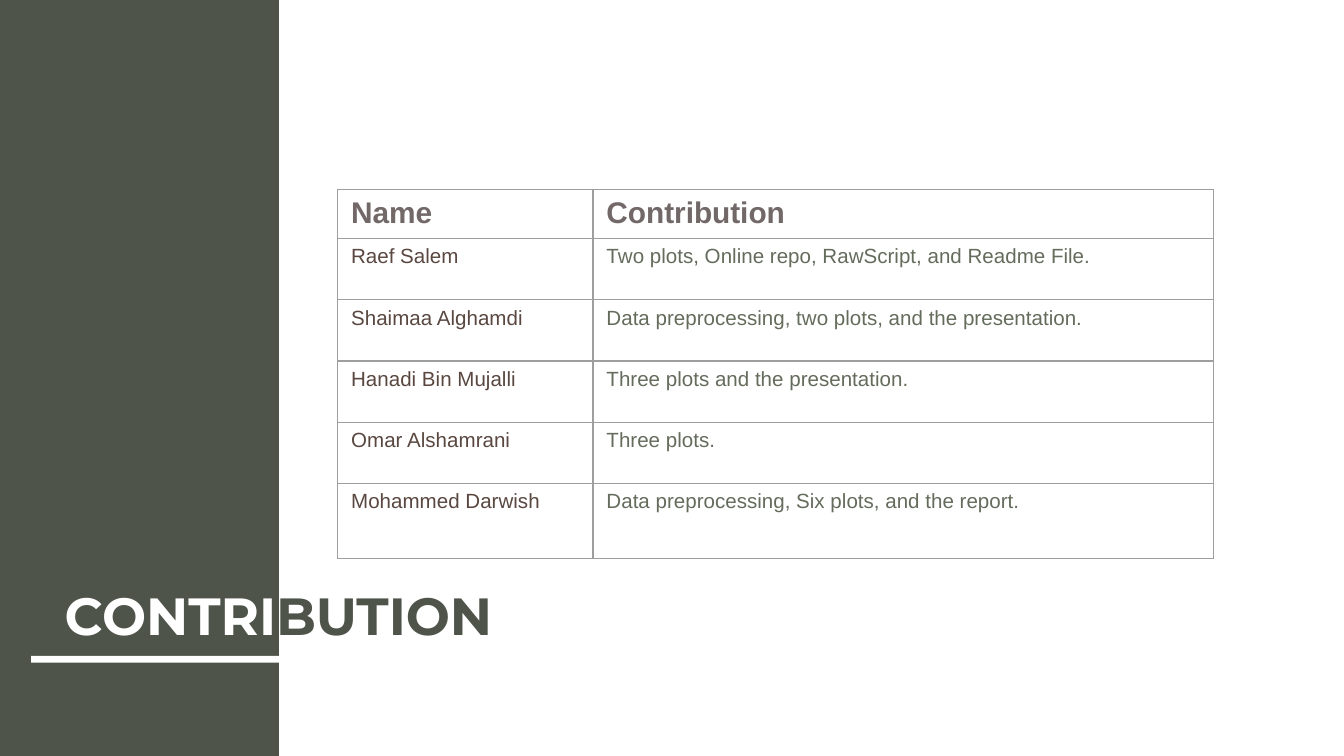
from lxml import etree
from pptx import Presentation
from pptx import util as u
from pptx.dml import color
from pptx.enum import shapes, text
from pptx.oxml import ns

SCALE = 5715


def px(n):
    return u.Emu(n * SCALE)


def rgb(code):
    return color.RGBColor.from_string(code)


class Deck:
    dark, white, grid = "4E5449", "FFFFFF", "9E9E9E"
    big = {"name": "Montserrat", "size": u.Pt(28), "bold": True}
    head = {"name": "Arial", "size": u.Pt(16), "bold": True}
    body = {"name": "Arial", "size": u.Pt(11), "bold": False}

    def __init__(self, wide, high):
        self.prs = Presentation()
        self.prs.slide_width, self.prs.slide_height = px(wide), px(high)
        self.slide = self.prs.slides.add_slide(self.prs.slide_layouts[0])
        sub = self.slide.placeholders[1].element
        sub.getparent().remove(sub)

    def run(self, para, words, form, hue):
        run = para.add_run()
        run.text = words
        for key, val in form.items():
            setattr(run.font, key, val)
        run.font.color.rgb = rgb(hue)

    def rect(self, box, hue):
        shape = self.slide.shapes.add_shape(
            shapes.MSO_SHAPE.RECTANGLE, *map(px, box))
        shape.shadow.inherit = False
        shape.fill.solid()
        shape.fill.fore_color.rgb = rgb(hue)
        shape.line.fill.background()

    def title(self, box, parts):
        title = self.slide.shapes.title
        title.left, title.top, title.width, title.height = map(px, box)
        frame = title.text_frame
        form = {"word_wrap": True, "auto_size": text.MSO_AUTO_SIZE.NONE,
                "vertical_anchor": text.MSO_ANCHOR.TOP}
        form.update({f"margin_{side}": px(16)
                     for side in ("left", "top", "right", "bottom")})
        for key, val in form.items():
            setattr(frame, key, val)
        para = frame.paragraphs[0]
        para.alignment = text.PP_ALIGN.LEFT
        for words, hue in parts:
            self.run(para, words, self.big, hue)
        self.slide.shapes.element.append(title.element)

    def edge(self, cell):
        props = cell._tc.get_or_add_tcPr()
        for spot, side in enumerate(("lnL", "lnR", "lnT", "lnB")):
            line = etree.Element(ns.qn(f"a:{side}"), w=str(u.Pt(0.75)))
            fill = etree.SubElement(line, ns.qn("a:solidFill"))
            etree.SubElement(fill, ns.qn("a:srgbClr"), val=self.grid)
            props.insert(spot, line)

    def table(self, spot, cols, highs, rows, hues):
        box = (*spot, sum(cols), sum(highs))
        table = self.slide.shapes.add_table(
            len(rows), len(cols), *map(px, box)).table
        table.first_row = table.horz_banding = False
        for col, wide in zip(table.columns, cols):
            col.width = px(wide)
        for row, high in zip(table.rows, highs):
            row.height = px(high)
        for r, row in enumerate(rows):
            for c, words in enumerate(row):
                cell = table.cell(r, c)
                cell.fill.background()
                self.edge(cell)
                form = self.body if r else self.head
                hue = hues[c] if r else "726868"
                self.run(cell.text_frame.paragraphs[0], words, form, hue)


def main():
    deck = Deck(1600, 900)
    deck.rect((-22, -13, 354, 931), deck.dark)
    deck.rect((37, 781, 325, 8), deck.white)
    deck.title((61, 678, 562, 275),
               [("CONTRI", deck.white), ("BUTION", deck.dark)])
    rows = [
        ("Name", "Contribution"),
        ("Raef Salem", "Two plots, Online repo, RawScript, and Readme File."),
        ("Shaimaa Alghamdi",
         "Data preprocessing, two plots, and the presentation."),
        ("Hanadi Bin Mujalli", "Three plots and the presentation."),
        ("Omar Alshamrani", "Three plots."),
        ("Mohammed Darwish", "Data preprocessing, Six plots, and the report."),
    ]
    deck.table((402, 226), (304, 739), (58, *[73] * 4, 89), rows,
               ("594740", "646C5C"))
    deck.prs.save("out.pptx")


if __name__ == "__main__":
    main()
